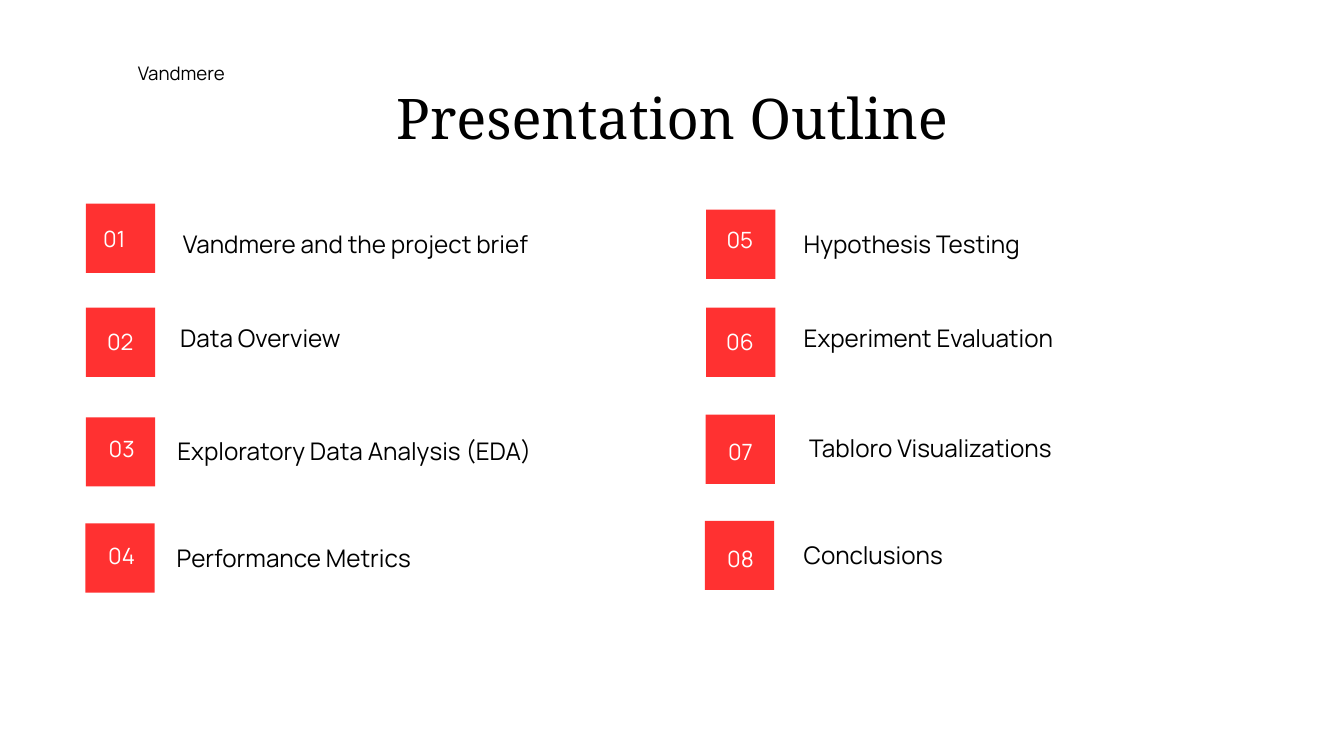
from pptx import Presentation
from pptx.dml.color import RGBColor
from pptx.enum.shapes import MSO_SHAPE as Preset
from pptx.enum.text import MSO_ANCHOR as Anchor, MSO_AUTO_SIZE as AutoSize, PP_ALIGN as Align
from pptx.util import Inches, Pt

TITLE_ONLY = 5

# number, topic, then left and top of the square, the number and the topic
OUTLINE = [
    ("01", "Vandmere and the project brief", (1.28, 3.03), (1.31, 3.28), (2.72, 3.31)),
    ("02", "Data Overview", (1.28, 4.58), (1.4, 4.82), (2.68, 4.7)),
    ("03", "Exploratory Data Analysis (EDA)", (1.28, 6.21), (1.42, 6.41), (2.64, 6.38)),
    ("04", "Performance Metrics", (1.27, 7.79), (1.42, 8), (2.63, 7.97)),
    ("05", "Hypothesis Testing", (10.51, 3.12), (10.62, 3.3), (11.96, 3.31)),
    ("06", "Experiment Evaluation", (10.51, 4.58), (10.62, 4.82), (11.96, 4.7)),
    ("07", "Tabloro Visualizations", (10.5, 6.17), (10.63, 6.45), (12.04, 6.34)),
    ("08", "Conclusions", (10.49, 7.75), (10.63, 8.04), (11.96, 7.93)),
]


def color(hex_value):
    return RGBColor.from_string(hex_value)


class OutlineSlide:
    RED, BLACK, WHITE = "FF3131", "000000", "FFFFFF"
    SANS, SERIF = "Manrope", "Noto Serif"
    SQUARE = 1.03

    def __init__(self, slide):
        self.slide = slide
        slide.background.fill.solid()
        slide.background.fill.fore_color.rgb = color(self.WHITE)

    def set_text(self, frame, text, size, spacing, font, ink, align):
        frame.margin_left = frame.margin_right = 0
        frame.margin_top = frame.margin_bottom = 0
        frame.word_wrap = True
        frame.auto_size = AutoSize.NONE
        frame.vertical_anchor = Anchor.TOP
        frame.text = text
        paragraph = frame.paragraphs[0]
        paragraph.alignment = align
        paragraph.line_spacing = Pt(spacing)
        paragraph.space_before = Pt(0)
        for run in paragraph.runs:
            run.font.name = font
            run.font.size = Pt(size)
            run.font.color.rgb = color(ink)

    def title(self, text, left, top, width, height):
        heading = self.slide.shapes.title
        heading.left, heading.top = Inches(left), Inches(top)
        heading.width, heading.height = Inches(width), Inches(height)
        self.set_text(heading.text_frame, text, 60, 61.2, self.SERIF, self.BLACK, Align.CENTER)

    def label(self, text, place, extent, size, spacing, ink=BLACK, align=Align.LEFT):
        box = self.slide.shapes.add_textbox(*map(Inches, place + extent))
        self.set_text(box.text_frame, text, size, spacing, self.SANS, ink, align)

    def square(self, place):
        tile = self.slide.shapes.add_shape(
            Preset.RECTANGLE, *map(Inches, place + (self.SQUARE, self.SQUARE)))
        tile.shadow.inherit = False
        tile.fill.solid()
        tile.fill.fore_color.rgb = color(self.RED)
        tile.line.fill.background()

    def entry(self, number, topic, square_at, number_at, topic_at):
        self.square(square_at)
        self.label(number, number_at, (0.78, 0.47), 24, 33.6, self.WHITE, Align.CENTER)
        self.label(topic, topic_at, (6.91, 0.54), 26, 39)


def main():
    presentation = Presentation()
    presentation.slide_width, presentation.slide_height = Inches(20), Inches(11.25)
    layout = presentation.slide_layouts[TITLE_ONLY]
    outline = OutlineSlide(presentation.slides.add_slide(layout))

    # Heading and company name
    outline.title("Presentation Outline", 3.29, 1.39, 13.42, 0.88)
    outline.label("Vandmere", (2.05, 0.93), (3.01, 0.34), 20, 23.2)

    # Numbered topics in two columns
    for item in OUTLINE:
        outline.entry(*item)

    presentation.save("out.pptx")


if __name__ == "__main__":
    main()
